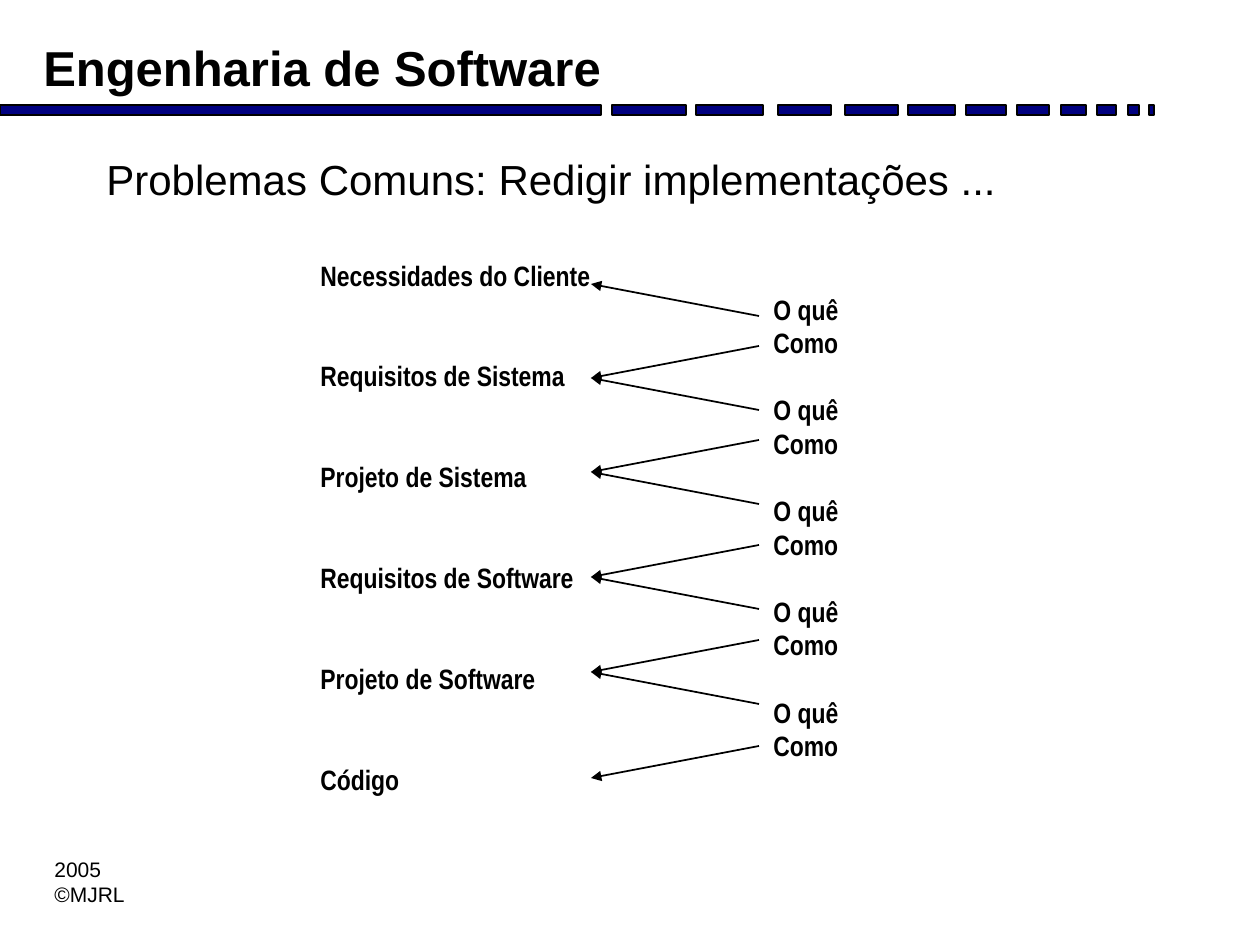
import pptx
import pptx.dml.color
import pptx.enum.shapes
import pptx.oxml.ns
import pptx.util
from lxml import etree

BLACK = pptx.dml.color.RGBColor(0, 0, 0)
NAVY = pptx.dml.color.RGBColor(0, 0, 128)
SCALE = 914400 / 126
LEADING = 1.2
BARS = [(0, 601), (612, 74), (696, 67), (778, 53), (845, 53), (908, 47),
        (966, 40), (1017, 32), (1061, 25), (1097, 19), (1128, 11), (1149, 5)]
STAGES = ["Necessidades do Cliente", "Requisitos de Sistema", "Projeto de Sistema",
          "Requisitos de Software", "Projeto de Software", "Código"]
TIPS = [32, 126, 220, 325, 420, 526]
SPREAD = 32


def px(num):
    """Turn pixels into EMU."""
    return pptx.util.Emu(round(num * SCALE))


def write(slide, box, text, size, font="Arial", bold=False, gap=0, group=1):
    """Write lines of text, with a gap counted in lines before each later group."""
    frame = slide.shapes.add_textbox(*map(px, box)).text_frame
    frame.word_wrap = True
    for num, line in enumerate(text.split("\n")):
        para = frame.paragraphs[0] if num == 0 else frame.add_paragraph()
        para.text = line
        para.line_spacing = pptx.util.Pt(size * LEADING)
        if gap and num and num % group == 0:
            para.space_before = pptx.util.Pt(size * LEADING * gap)
        para.font.name = font
        para.font.size = pptx.util.Pt(size)
        para.font.bold = bold
        para.font.color.rgb = BLACK


def arrow(slide, start, end):
    """Draw a thin black arrow from start to end."""
    line = slide.shapes.add_connector(
        pptx.enum.shapes.MSO_CONNECTOR.STRAIGHT, *map(px, start + end))
    line.line.color.rgb = BLACK
    line.line.width = pptx.util.Pt(1)
    tail = etree.SubElement(line.line._get_or_add_ln(), pptx.oxml.ns.qn("a:tailEnd"))
    tail.set("type", "triangle")
    etree.SubElement(line._element.spPr, pptx.oxml.ns.qn("a:effectLst"))


def header(slide, left, top):
    """Place the course name above its broken rule."""
    for start, width in BARS:
        bar = slide.shapes.add_shape(
            pptx.enum.shapes.MSO_SHAPE.RECTANGLE,
            px(left + start), px(top + 105), px(width), px(10))
        bar.shadow.inherit = False
        bar.fill.solid()
        bar.fill.fore_color.rgb = NAVY
        bar.line.color.rgb = BLACK
        bar.line.width = pptx.util.Pt(1)
    write(slide, (left + 31, top + 31, 609, 71), "Engenharia de Software", 28, bold=True)


def chain(slide, left, top):
    """Place the stages, the questions and the arrows that join them."""
    style = {"font": "Arial Narrow", "bold": True}
    write(slide, (left + 453, top + 34, 110, 483),
          "\n".join(["O quê", "Como"] * (len(STAGES) - 1)), 16, gap=1, group=2, **style)
    write(slide, (left, top, 310, 551), "\n".join(STAGES), 16, gap=2, **style)
    for num, tip in enumerate(TIPS):
        end = (left + 283, top + tip)
        if num > 0:
            arrow(slide, (left + 451, top + tip - SPREAD), end)
        if num < len(TIPS) - 1:
            arrow(slide, (left + 451, top + tip + SPREAD), end)


def main():
    """Build the slide and save it."""
    deck = pptx.Presentation()
    deck.slide_width = px(1260)
    deck.slide_height = px(945)
    slide = deck.slides.add_slide(deck.slide_layouts[6])
    header(slide, 0, 0)
    write(slide, (42, 850, 110, 63), "2005\n©MJRL", 12)
    write(slide, (94, 147, 1071, 95), "Problemas Comuns: Redigir implementações ...", 24)
    chain(slide, 308, 252)
    deck.save("out.pptx")


if __name__ == "__main__":
    main()
